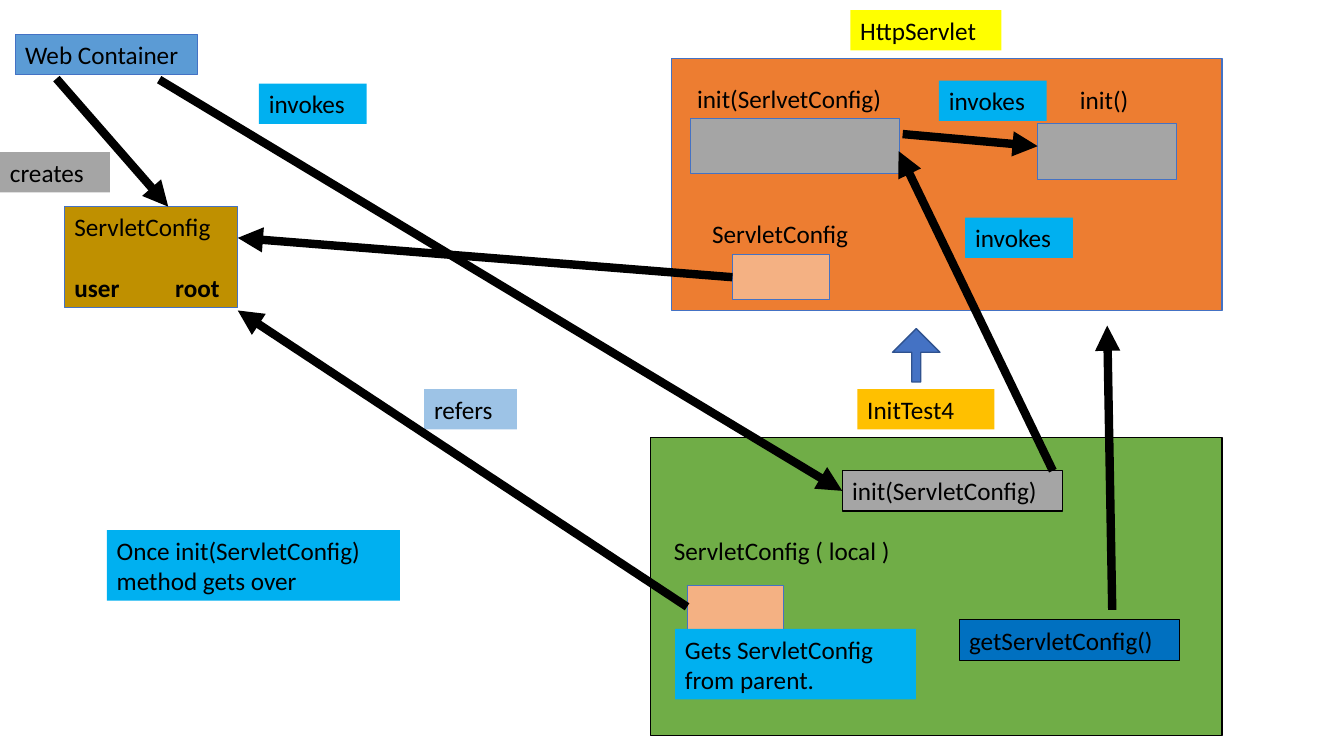
from lxml.etree import SubElement
from pptx import Presentation
from pptx.dml.color import RGBColor
from pptx.enum.shapes import MSO_CONNECTOR as Connector, MSO_SHAPE as Shape
from pptx.enum.text import MSO_ANCHOR as Anchor, PP_ALIGN as Align
from pptx.oxml.ns import qn
from pptx.util import Inches, Pt

COLS, ROWS = 133.4, 75
CELL = Inches(0.1)
LABEL_H = 4
C = {
    "black": "000000", "edge": "4472C4", "arrow_edge": "2F528F",
    "orange": "ED7D31", "green": "70AD47", "yellow": "FFFF00",
    "gold": "FFC000", "brown": "BF9000", "gray": "A5A5A5",
    "peach": "F4B183", "sky": "00B0F0", "pale": "9DC3E6",
    "blue": "5B9BD5", "deep": "0070C0",
}


def grid(*cells):
    return [round(n * CELL) for n in cells]


def rgb(name):
    return RGBColor.from_string(C[name])


def add_text(tf, text, bold_row=None, gap=0, tab=1):
    tf.word_wrap = True
    tf.vertical_anchor = Anchor.TOP
    rows = [(text, False)] + ([(bold_row, True)] if bold_row else [])
    for i, (row, bold) in enumerate(rows):
        p = tf.paragraphs[0] if i == 0 else tf.add_paragraph()
        p.alignment = Align.LEFT
        if bold:
            p.space_before = Pt(gap)
            tabs = SubElement(p._p.get_or_add_pPr(), qn("a:tabLst"))
            SubElement(tabs, qn("a:tab"), pos=str(Inches(tab)), algn="l")
        r = p.add_run()
        r.text = row
        r.font.name, r.font.size, r.font.bold = "Calibri", Pt(18), bold
        r.font.color.rgb = rgb("black")


def add_box(s, region, at, fill, line=None, text=None, kind=Shape.RECTANGLE,
            width=0.75, **fmt):
    x, y, w, h = at
    sp = s.shapes.add_shape(kind, *grid(region[0] + x, region[1] + y, w, h))
    sp.shadow.inherit = False
    sp.fill.solid()
    sp.fill.fore_color.rgb = rgb(fill)
    if line:
        sp.line.color.rgb = rgb(line)
        sp.line.width = Pt(width)
    else:
        sp.line.fill.background()
    if text:
        add_text(sp.text_frame, text, **fmt)
    return sp


def add_caption(s, region, x, y, w, text):
    tb = s.shapes.add_textbox(*grid(region[0] + x, region[1] + y, w, LABEL_H))
    add_text(tb.text_frame, text)


def add_arrow(s, start, end):
    cx = s.shapes.add_connector(Connector.STRAIGHT, *grid(*start, *end))
    cx.line.color.rgb = rgb("black")
    cx.line.width = Pt(6)
    SubElement(cx.line._get_or_add_ln(), qn("a:tailEnd"), type="triangle")
    SubElement(cx._element.spPr, qn("a:effectLst"))


def http_servlet(s, region):
    add_box(s, region, (0, 0, *region[2:]), "orange", "edge")
    add_box(s, region, (17.7, -4.8, 15, LABEL_H), "yellow", text="HttpServlet")
    add_caption(s, region, 1.5, 2, 22.8, "init(SerlvetConfig)")
    add_box(s, region, (1.8, 6, 20.8, 5.4), "gray", "edge")
    add_caption(s, region, 39.5, 2.1, 8.8, "init()")
    add_box(s, region, (36.3, 6.5, 13.8, 5.5), "gray", "edge")
    add_caption(s, region, 3, 15.4, 17.4, "ServletConfig")
    add_box(s, region, (6, 19.5, 9.6, 4.4), "peach", "edge")
    for x, y in ((26.5, 2.2), (29.1, 15.8)):
        add_box(s, region, (x, y, 10.7, LABEL_H), "sky", text="invokes")


def init_test(s, region):
    add_box(s, region, (0, 0, *region[2:]), "green", "black")
    add_box(s, region, (20.5, -4.8, 13.6, LABEL_H), "gold", text="InitTest4")
    up = add_box(s, region, (24, -10.8, 4.7, 5.3), "edge", "arrow_edge",
                 kind=Shape.UP_ARROW, width=1)
    up.adjustments[0], up.adjustments[1] = 0.19, 0.5
    add_box(s, region, (19, 3.3, 21.9, LABEL_H), "gray", "black",
            "init(ServletConfig)")
    add_caption(s, region, 1.3, 9.2, 25.9, "ServletConfig ( local )")
    add_box(s, region, (3.6, 14.7, 9.6, 4.4), "peach", "edge")
    add_box(s, region, (2.4, 19, 23.9, 7), "sky",
            text="Gets ServletConfig from parent.")
    add_box(s, region, (30.6, 18.1, 21.9, LABEL_H), "deep", "black",
            "getServletConfig()")


def web_container(s, region):
    add_box(s, region, (1.5, 3.4, 18.1, LABEL_H), "blue", "edge",
            "Web Container")
    add_box(s, region, (6.4, 20.5, 17.2, 10), "brown", "edge",
            "ServletConfig", bold_row="user\troot", gap=22)
    add_box(s, region, (0, 15.1, 10.9, LABEL_H), "gray", text="creates")
    add_box(s, region, (25.7, 8.3, 10.7, LABEL_H), "sky", text="invokes")
    add_box(s, region, (42.1, 38.6, 9.2, LABEL_H), "pale", text="refers")
    add_box(s, region, (10.6, 52.6, 29.1, 7), "sky",
            text="Once init(ServletConfig) method gets over")


def call_flow(s):
    for start, end in (
        ((5.6, 7.8), (16.7, 20.5)),
        ((15.8, 7.9), (83.6, 48.7)),
        ((110.4, 60.5), (109.9, 32.3)),
        ((68.2, 60.2), (23.6, 30.8)),
        ((104.5, 46.7), (89.2, 15)),
        ((72.7, 27.5), (23.6, 23.6)),
        ((89.6, 13.3), (103, 14.5)),
    ):
        add_arrow(s, start, end)


def main():
    prs = Presentation()
    prs.slide_width, prs.slide_height = grid(COLS, ROWS)
    s = prs.slides.add_slide(prs.slide_layouts[6])
    http_servlet(s, (66.7, 5.8, 54.6, 25))
    web_container(s, (0, 0))
    init_test(s, (64.6, 43.4, 56.7, 29.6))
    call_flow(s)
    prs.save("out.pptx")


if __name__ == "__main__":
    main()
